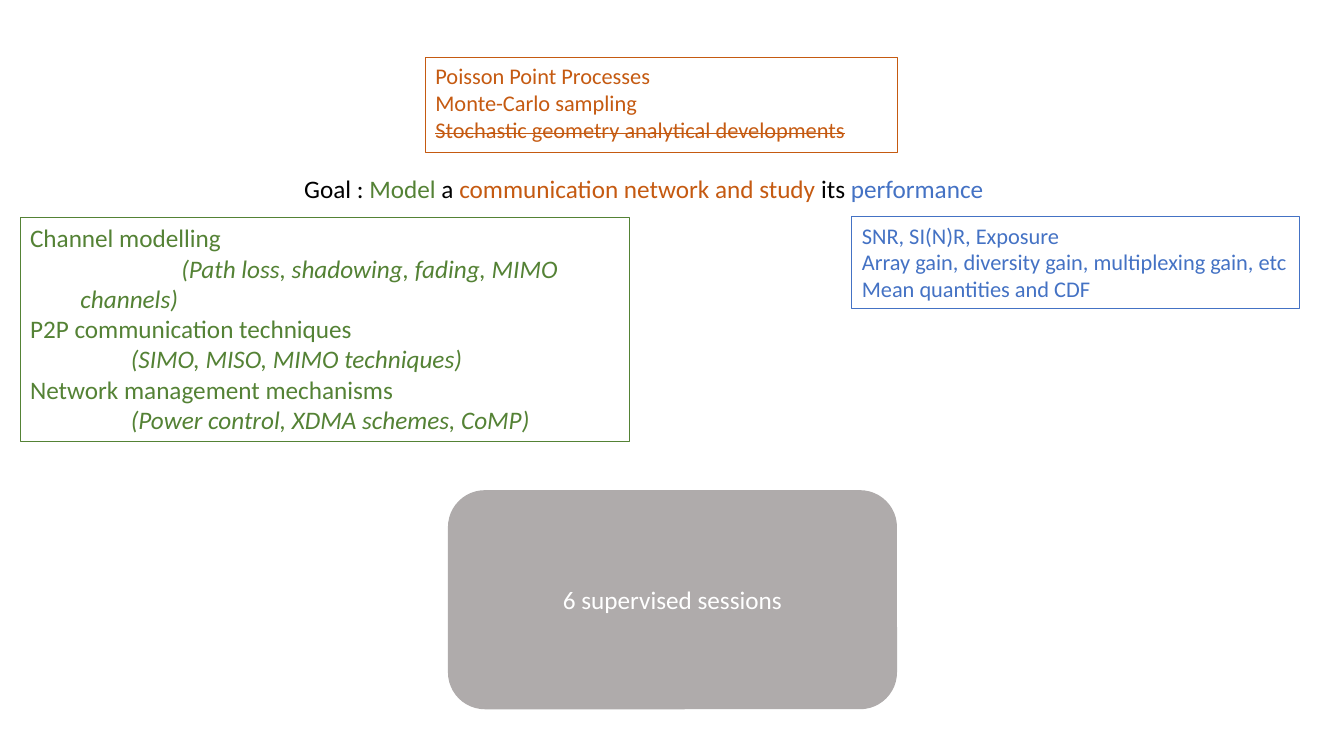
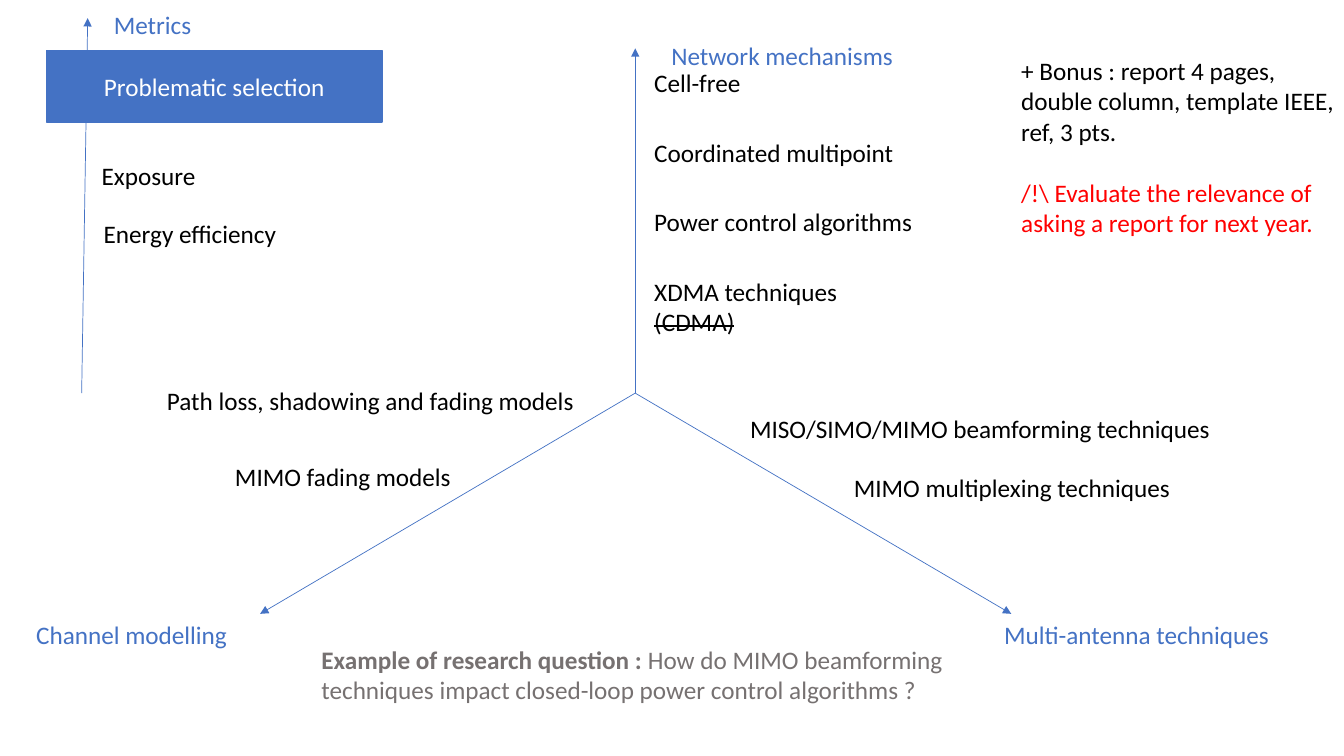
"""Build two slides: the project goal and the map of research topics."""
from dataclasses import dataclass

from lxml.etree import SubElement
from pptx import Presentation
from pptx.dml.color import RGBColor
from pptx.enum.shapes import MSO_CONNECTOR
from pptx.enum.text import MSO_ANCHOR, MSO_AUTO_SIZE as FIT, PP_ALIGN as ALIGN
from pptx.oxml.ns import qn
from pptx.util import Inches, Pt


@dataclass(frozen=True)
class Theme:
    font: str = "Calibri"
    normal: int = 18
    small: int = 16
    border: float = 0.75
    axis: float = 0.5
    black: str = "000000"
    white: str = "FFFFFF"
    green: str = "548235"
    orange: str = "C55A11"
    blue: str = "4472C4"
    silver: str = "AFABAB"
    grey: str = "767171"
    red: str = "FF0000"


@dataclass(frozen=True)
class Span:
    text: str
    color: str
    bold: bool = False
    italic: bool = False
    strike: bool = False


@dataclass(frozen=True)
class Para:
    spans: tuple
    left: float = 0
    first: float = 0
    before: float = 0


THEME = Theme()
TITLE_ONLY = 5


def line(text, color, left=0, first=0, before=0, **style):
    return Para((Span(text, color, **style),), left, first, before)


GOAL = [Para((
    Span("Goal : ", THEME.black),
    Span("Model", THEME.green),
    Span(" a ", THEME.black),
    Span("communication network and study ", THEME.orange),
    Span("its ", THEME.black),
    Span("performance", THEME.blue),
))]
SESSIONS = [line("6 supervised sessions", THEME.white)]
TOPIC_BOXES = [
    ((0.2, 2.16, 6.04, 2.22), THEME.green, THEME.normal, [
        line("Channel modelling", THEME.green),
        line("(Path loss, shadowing, fading, MIMO channels)", THEME.green, 0.5, 1, italic=True),
        line("P2P communication techniques", THEME.green),
        line("(SIMO, MISO, MIMO techniques)", THEME.green, 1, italic=True),
        line("Network management mechanisms", THEME.green),
        line("(Power control, XDMA schemes, CoMP)", THEME.green, 1, italic=True),
    ]),
    ((4.22, 0.57, 4.68, 0.94), THEME.orange, THEME.small, [
        line("Poisson Point Processes", THEME.orange),
        line("Monte-Carlo sampling", THEME.orange),
        line("Stochastic geometry analytical developments", THEME.orange, strike=True),
    ]),
    ((8.45, 2.15, 4.44, 0.91), THEME.blue, THEME.small, [
        line("SNR, SI(N)R, Exposure", THEME.blue),
        line("Array gain, diversity gain, multiplexing gain, etc", THEME.blue),
        line("Mean quantities and CDF", THEME.blue),
    ]),
]

SELECTION = [line("Problematic selection", THEME.white)]
ORIGIN = (6.3, 3.9)
AXES = [
    (ORIGIN, (6.3, 0.48)),
    (ORIGIN, (10.03, 6.09)),
    (ORIGIN, (2.58, 6.09)),
    ((0.81, 3.9), (0.87, 0.18)),
]
AXIS_NAMES = [
    ("Metrics", 1.03, 0.04),
    ("Network mechanisms", 6.56, 0.35),
    ("Multi-antenna techniques", 9.86, 6.09),
    ("Channel modelling", 0.26, 6.09),
]
MECHANISMS = ["Cell-free", "Coordinated multipoint", "Power control algorithms"]
MECHANISM_LEFT, MECHANISM_TOP, MECHANISM_STEP = 6.39, 0.62, 0.69
XDMA = [Para((
    Span("XDMA techniques ", THEME.black),
    Span("(CDMA)", THEME.black, strike=True),
))]
AXIS_TOPICS = [
    ("Exposure", 0.91, 1.54, 2.41, ALIGN.LEFT),
    ("Energy efficiency", 0.93, 2.12, 2.41, ALIGN.LEFT),
    ("MISO/SIMO/MIMO beamforming techniques", 7.34, 4.05, 5.28, ALIGN.LEFT),
    ("MIMO multiplexing techniques", 8.37, 4.64, 4.35, ALIGN.LEFT),
    ("Path loss, shadowing and fading models", 1.38, 3.77, 4.41, ALIGN.RIGHT),
    ("MIMO fading models", 1.11, 4.53, 3.46, ALIGN.RIGHT),
]
QUESTION = [Para((
    Span("Example of research question : ", THEME.grey, bold=True),
    Span("How do MIMO beamforming techniques impact closed-loop power control algorithms ?",
         THEME.grey),
))]
BONUS = [
    line("+ Bonus : report 4 pages, double column, template IEEE, ref, 3 pts.", THEME.black),
    line("/!\\ Evaluate the relevance of asking a report for next year.", THEME.red, before=22),
]
LABEL_HEIGHT = 0.4


def rgb(color):
    return RGBColor.from_string(color)


def write(frame, paras, size=THEME.normal, align=ALIGN.LEFT):
    frame.word_wrap = True
    for index, item in enumerate(paras):
        para = frame.add_paragraph() if index else frame.paragraphs[0]
        para.alignment = align
        para.space_before = Pt(item.before)
        properties = para._p.get_or_add_pPr()
        properties.set("marL", str(Inches(item.left)))
        properties.set("indent", str(Inches(item.first)))
        for part in item.spans:
            span = para.add_run()
            span.text = part.text
            font = span.font
            font.name, font.size = THEME.font, Pt(size)
            font.bold, font.italic = part.bold, part.italic
            font.color.rgb = rgb(part.color)
            if part.strike:
                font._element.set("strike", "sngStrike")


def add_text(page, place, paras, size=THEME.normal, align=ALIGN.LEFT, border=None):
    box = page.shapes.add_textbox(*map(Inches, place))
    write(box.text_frame, paras, size, align)
    box.text_frame.auto_size = FIT.SHAPE_TO_FIT_TEXT
    if border:
        box.line.color.rgb = rgb(border)
        box.line.width = Pt(THEME.border)


def fill_panel(shape, color):
    shape.fill.solid()
    shape.fill.fore_color.rgb = rgb(color)
    shape.line.color.rgb = rgb(color)
    shape.line.width = Pt(1)


def set_title(page, place, paras, panel=None):
    title = page.shapes.title
    title.left, title.top, title.width, title.height = map(Inches, place)
    if panel:
        outline = SubElement(title._element.spPr, qn("a:prstGeom"), prst="roundRect")
        SubElement(outline, qn("a:avLst"))
        fill_panel(title, panel)
    frame = title.text_frame
    write(frame, paras, align=ALIGN.CENTER)
    frame.auto_size = FIT.NONE
    frame.vertical_anchor = MSO_ANCHOR.MIDDLE


def add_panel(page, place, color, paras):
    from_preset = page.shapes.add_shape(5, *map(Inches, place))
    from_preset.shadow.inherit = False
    fill_panel(from_preset, color)
    write(from_preset.text_frame, paras, align=ALIGN.CENTER)
    from_preset.text_frame.vertical_anchor = MSO_ANCHOR.MIDDLE


def add_axis(page, start, end):
    axis = page.shapes.add_connector(MSO_CONNECTOR.STRAIGHT, *map(Inches, start + end))
    axis.line.color.rgb = rgb(THEME.blue)
    axis.line.width = Pt(THEME.axis)
    SubElement(axis.line._get_or_add_ln(), qn("a:tailEnd"), type="triangle")
    SubElement(axis._element.spPr, qn("a:effectLst"))


def build_goal(page):
    set_title(page, (1.14, 1.67, 10.49, LABEL_HEIGHT), GOAL)
    add_panel(page, (4.45, 4.87, 4.44, 2.16), THEME.silver, SESSIONS)
    for place, color, size, paras in TOPIC_BOXES:
        add_text(page, place, paras, size, border=color)


def build_map(page):
    set_title(page, (0.46, 0.5, 3.33, 0.71), SELECTION, THEME.blue)
    for start, end in AXES:
        add_axis(page, start, end)
    for name, left, top in AXIS_NAMES:
        add_text(page, (left, top, 3.01, LABEL_HEIGHT), [line(name, THEME.blue)])
    for index, name in enumerate(MECHANISMS):
        top = MECHANISM_TOP + index * MECHANISM_STEP
        add_text(page, (MECHANISM_LEFT, top, 3.46, LABEL_HEIGHT), [line(name, THEME.black)])
    xdma_top = MECHANISM_TOP + len(MECHANISMS) * MECHANISM_STEP
    add_text(page, (MECHANISM_LEFT, xdma_top, 2.41, 0.71), XDMA)
    for name, left, top, width, align in AXIS_TOPICS:
        add_text(page, (left, top, width, LABEL_HEIGHT), [line(name, THEME.black)], align=align)
    add_text(page, (3.09, 6.34, 6.64, 0.71), QUESTION)
    add_text(page, (10.03, 0.5, 3.39, 1.92), BONUS)


def main():
    deck = Presentation()
    deck.slide_width, deck.slide_height = Inches(13.33), Inches(7.5)
    for build in (build_goal, build_map):
        build(deck.slides.add_slide(deck.slide_layouts[TITLE_ONLY]))
    deck.save("out.pptx")


if __name__ == "__main__":
    main()
